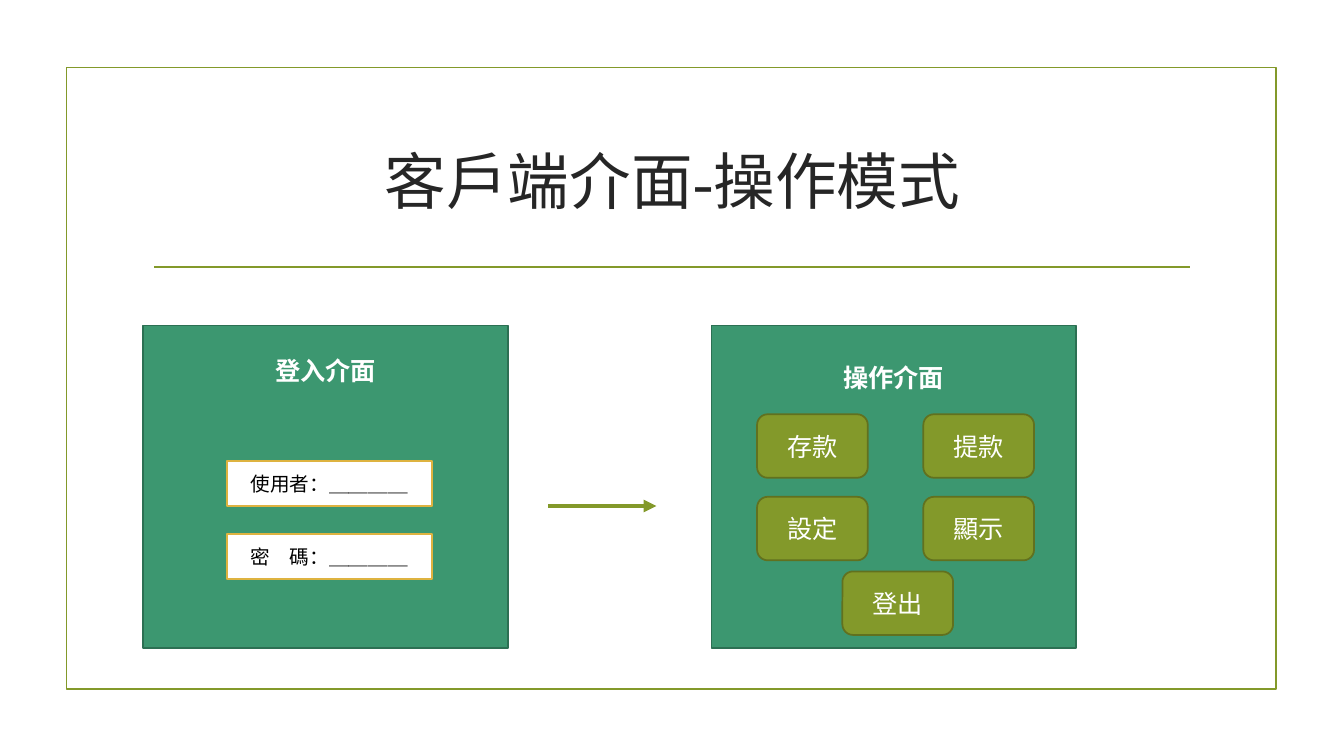
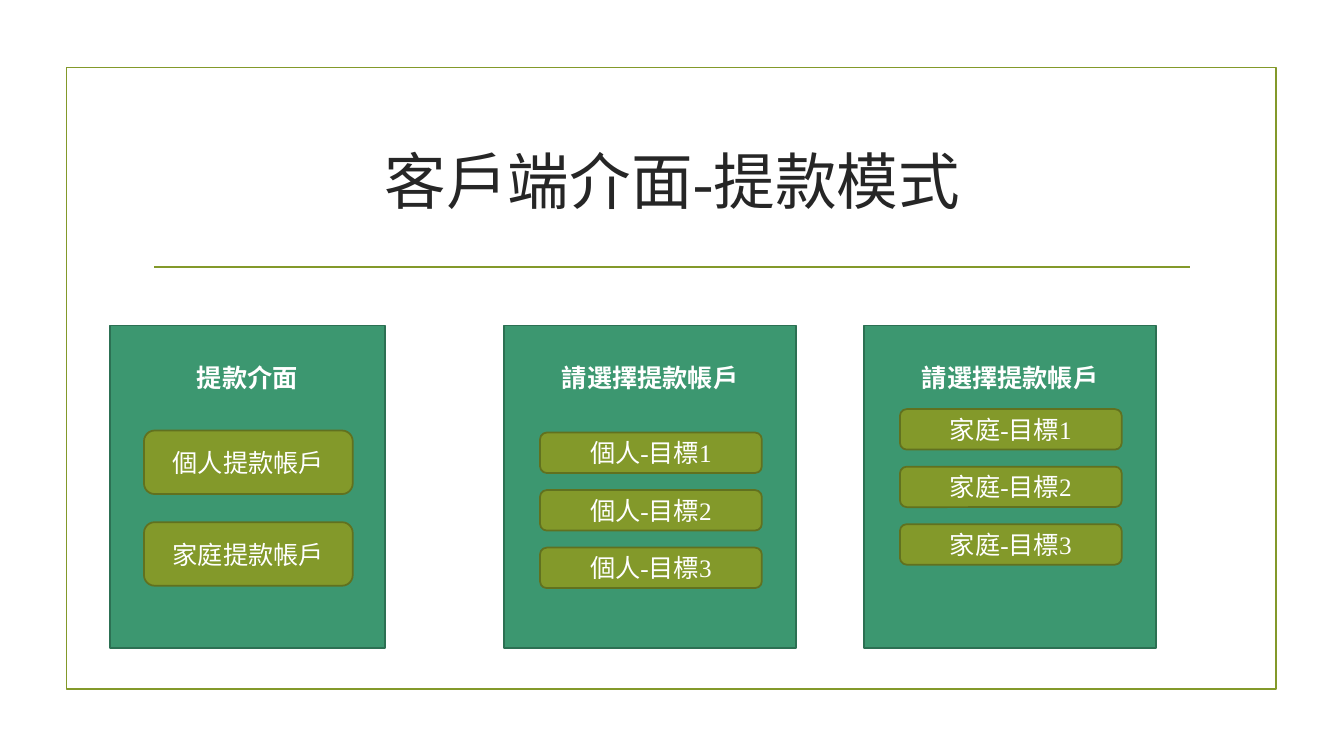
from dataclasses import dataclass

from lxml import etree
from pptx import Presentation
from pptx import util as u
from pptx.dml.color import RGBColor
from pptx.enum import shapes, text
from pptx.oxml import ns

Cm, Pt = u.Cm, u.Pt
RECT = shapes.MSO_SHAPE.RECTANGLE
ROUND = shapes.MSO_SHAPE.ROUNDED_RECTANGLE


@dataclass(frozen=True)
class Theme:
    font: str = "Times New Roman"
    olive: RGBColor = RGBColor(0x83, 0x99, 0x2A)
    olive_dark: RGBColor = RGBColor(0x61, 0x71, 0x1F)
    green: RGBColor = RGBColor(0x3C, 0x97, 0x70)
    green_dark: RGBColor = RGBColor(0x2C, 0x70, 0x53)
    gold: RGBColor = RGBColor(0xDE, 0xB3, 0x40)
    ink: RGBColor = RGBColor(0x26, 0x26, 0x26)
    black: RGBColor = RGBColor(0, 0, 0)
    white: RGBColor = RGBColor(0xFF, 0xFF, 0xFF)
    title_size: int = 44
    label_size: int = 18
    field_size: int = 14
    line_width: float = 1.25
    arrow_width: float = 3


theme = Theme()


def add_box(page, area, words="", size=theme.label_size, color=theme.white, bold=False,
            preset=None, fill=None, line=None, anchor=text.MSO_ANCHOR.MIDDLE):
    """Add a preset shape, or a plain text box when no preset is given."""
    area = [Cm(length) for length in area]
    if preset is None:
        box = page.shapes.add_textbox(*area)
    else:
        box = page.shapes.add_shape(preset, *area)
        box.shadow.inherit = False
        box.line.color.rgb = line
        box.line.width = Pt(theme.line_width)
        if fill is None:
            box.fill.background()
        else:
            box.fill.solid()
            box.fill.fore_color.rgb = fill
    if words:
        frame = box.text_frame
        frame.word_wrap = True
        frame.vertical_anchor = anchor
        para = frame.paragraphs[0]
        para.text = words
        para.alignment = text.PP_ALIGN.CENTER
        para.font.name = theme.font
        para.font.size = Pt(size)
        para.font.bold = bold
        para.font.color.rgb = color
    return box


def add_line(page, left, right, top, width):
    """Add a horizontal olive line without a shadow."""
    line = page.shapes.add_connector(
        shapes.MSO_CONNECTOR.STRAIGHT, Cm(left), Cm(top), Cm(right), Cm(top))
    line.line.color.rgb = theme.olive
    line.line.width = Pt(width)
    etree.SubElement(line._element.spPr, ns.qn("a:effectLst"))
    return line


field_style = dict(preset=RECT, fill=theme.white, line=theme.gold,
                   size=theme.field_size, color=theme.black)
button_style = dict(preset=ROUND, fill=theme.olive, line=theme.olive_dark)
panel_top, panel_height = 8.2, 8.13

# Each panel: left, width, heading offset, heading, item style, items (area, words)
fields = [((5.72, 11.61 + 1.85 * row, 5.16, 1.14), words)
          for row, words in enumerate(["使用者：＿＿＿＿", "密　碼：＿＿＿＿"])]
actions = [((19.08 + 4.19 * (i % 2), 10.44 + 2.08 * (i // 2), 2.79, 1.6), words)
           for i, words in enumerate(["存款", "提款", "設定", "顯示"])]
actions.append(((21.23, 14.4, 2.79, 1.6), "登出"))
accounts = [((3.63, 10.85 + 2.31 * row, 5.26, 1.6), f"{owner}提款帳戶")
            for row, owner in enumerate(["個人", "家庭"])]
personal_goals, family_goals = [
    [((left, top + 1.45 * row, 5.59, 1.02), f"{owner}-目標{row + 1}") for row in range(3)]
    for owner, left, top in [("個人", 13.61, 10.9), ("家庭", 22.68, 10.31)]]

slides = [
    ("客戶端介面-操作模式", [
        (3.61, 9.19, 0.64, "登入介面", field_style, fields),
        (17.93, 9.19, 0.8, "操作介面", button_style, actions)]),
    ("客戶端介面-提款模式", [
        (2.77, 6.93, 0.8, "提款介面", button_style, accounts),
        (12.7, 7.37, 0.8, "請選擇提款帳戶", button_style, personal_goals),
        (21.77, 7.37, 0.8, "請選擇提款帳戶", button_style, family_goals)]),
]

deck = Presentation()
deck.slide_width, deck.slide_height = Cm(33.87), Cm(19.05)

for title, panels in slides:
    page = deck.slides.add_slide(deck.slide_layouts[6])
    add_box(page, (1.68, 1.7, 30.48, 15.67), preset=RECT, line=theme.olive)
    add_line(page, 3.89, 30, 6.73, theme.line_width)
    add_box(page, (3.61, 2.72, 26.67, 3.63), title, theme.title_size, theme.ink)
    for left, width, offset, heading, style, items in panels:
        add_box(page, (left, panel_top, width, panel_height), preset=RECT,
                fill=theme.green, line=theme.green_dark)
        add_box(page, (left, panel_top + offset, width, 1.02), heading, bold=True,
                anchor=text.MSO_ANCHOR.TOP)
        for area, words in items:
            add_box(page, area, words, **style)

arrow = add_line(deck.slides[0], 13.82, 16.54, 12.75, theme.arrow_width)
etree.SubElement(arrow.line._get_or_add_ln(), ns.qn("a:tailEnd"), type="triangle")

deck.save("out.pptx")
